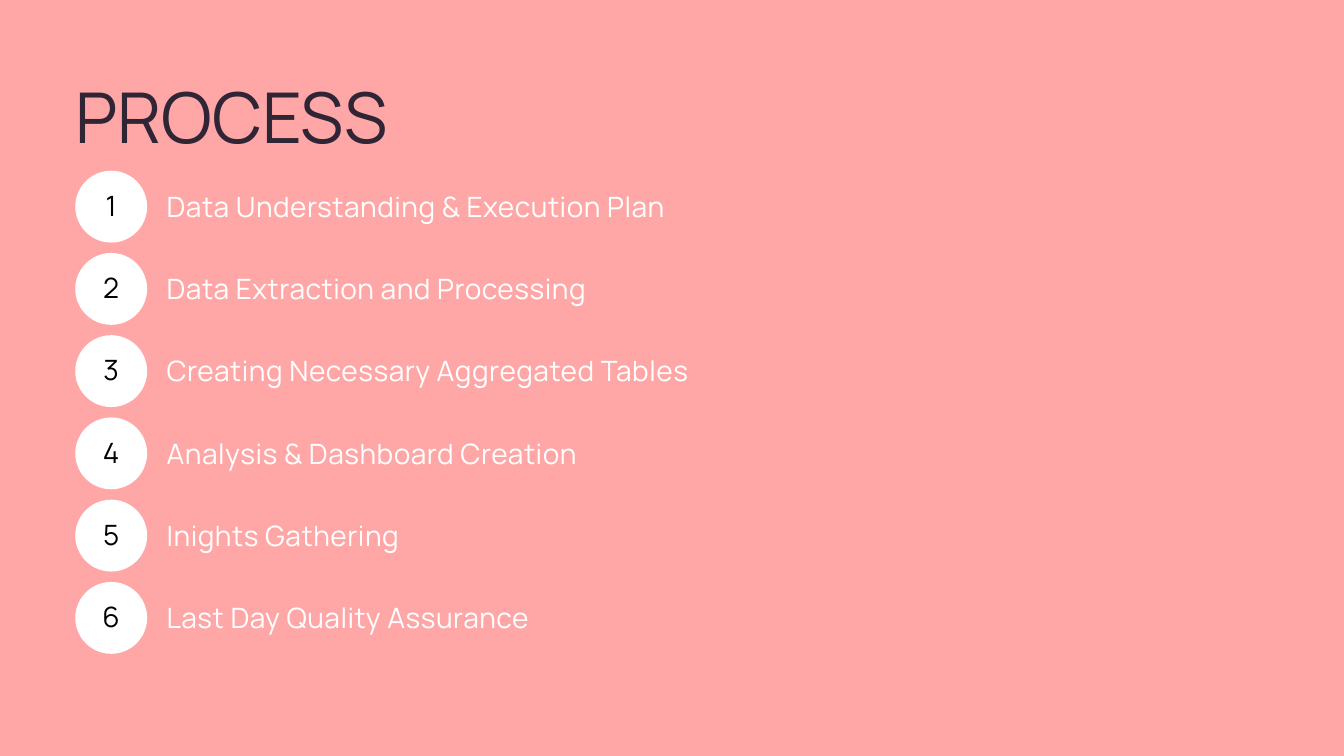
from dataclasses import dataclass

from pptx import Presentation
from pptx.dml.color import RGBColor
from pptx.enum.shapes import MSO_SHAPE
from pptx.enum.text import MSO_ANCHOR, MSO_AUTO_SIZE, PP_ALIGN
from pptx.util import Inches, Pt


@dataclass(frozen=True)
class Theme:
    font: str = "Manrope"
    background: str = "FFA7A7"
    title: str = "2F2535"
    label: str = "FFFFFF"
    badge: str = "FFFFFF"
    number: str = "000000"
    title_size: float = 75
    body_size: float = 30
    line_ratio: float = 1.1
    body_tracking: float = 0.6


class SlideBuilder:
    """Draws styled elements on one slide."""

    def __init__(self, slide, theme):
        self.slide = slide
        self.theme = theme
        background = slide.background.fill
        background.solid()
        background.fore_color.rgb = RGBColor.from_string(theme.background)

    def set_text(self, shape, text, size, color, tracking=0, inset=0):
        frame = shape.text_frame
        frame.word_wrap = True
        frame.margin_left = frame.margin_right = Inches(inset)
        frame.margin_top = frame.margin_bottom = Inches(inset)
        paragraph = frame.paragraphs[0]
        paragraph.line_spacing = Pt(size * self.theme.line_ratio)
        paragraph.font.name = self.theme.font
        paragraph.font.size = Pt(size)
        paragraph.font.color.rgb = RGBColor.from_string(color)
        run = paragraph.add_run()
        run.text = text
        if tracking:
            run._r.get_or_add_rPr().set("spc", str(round(tracking * 100)))
        return frame, paragraph

    def text(self, text, left, top, width, height, size, color, tracking=0):
        box = self.slide.shapes.add_textbox(
            Inches(left), Inches(top), Inches(width), Inches(height))
        frame, _ = self.set_text(box, text, size, color, tracking)
        frame.auto_size = MSO_AUTO_SIZE.SHAPE_TO_FIT_TEXT

    def title(self, text, left, top, width, height):
        self.text(text, left, top, width, height,
                  self.theme.title_size, self.theme.title)

    def label(self, text, left, top, width, height):
        self.text(text, left, top, width, height, self.theme.body_size,
                  self.theme.label, self.theme.body_tracking)

    def badge(self, number, left, top, diameter):
        circle = self.slide.shapes.add_shape(
            MSO_SHAPE.OVAL, Inches(left), Inches(top),
            Inches(diameter), Inches(diameter))
        circle.shadow.inherit = False
        circle.fill.solid()
        circle.fill.fore_color.rgb = RGBColor.from_string(self.theme.badge)
        circle.line.fill.background()
        frame, paragraph = self.set_text(
            circle, str(number), self.theme.body_size, self.theme.number,
            self.theme.body_tracking, inset=0.06)
        frame.vertical_anchor = MSO_ANCHOR.MIDDLE
        paragraph.alignment = PP_ALIGN.CENTER


STEPS = (
    "Data Understanding & Execution Plan",
    "Data Extraction and Processing",
    "Creating Necessary Aggregated Tables",
    "Analysis & Dashboard Creation",
    "Inights Gathering",
    "Last Day Quality Assurance",
)
LEFT = 1.12
FIRST_TOP = 2.54
LAST_TOP = 8.66
STEP_PITCH = (LAST_TOP - FIRST_TOP) / (len(STEPS) - 1)
BADGE_DIAMETER = 1.07
LABEL_LEFT = 2.48
LABEL_OFFSET = 0.32

presentation = Presentation()
presentation.slide_width = Inches(20)
presentation.slide_height = Inches(11.25)
slide = presentation.slides.add_slide(presentation.slide_layouts[6])
builder = SlideBuilder(slide, Theme())

builder.title("PROCESS", LEFT, 1.2, 13.24, 1.18)
for index, step in enumerate(STEPS):
    top = FIRST_TOP + index * STEP_PITCH
    builder.badge(index + 1, LEFT, top, BADGE_DIAMETER)
    builder.label(step, LABEL_LEFT, top + LABEL_OFFSET, 8.83, 0.46)

presentation.save("out.pptx")
